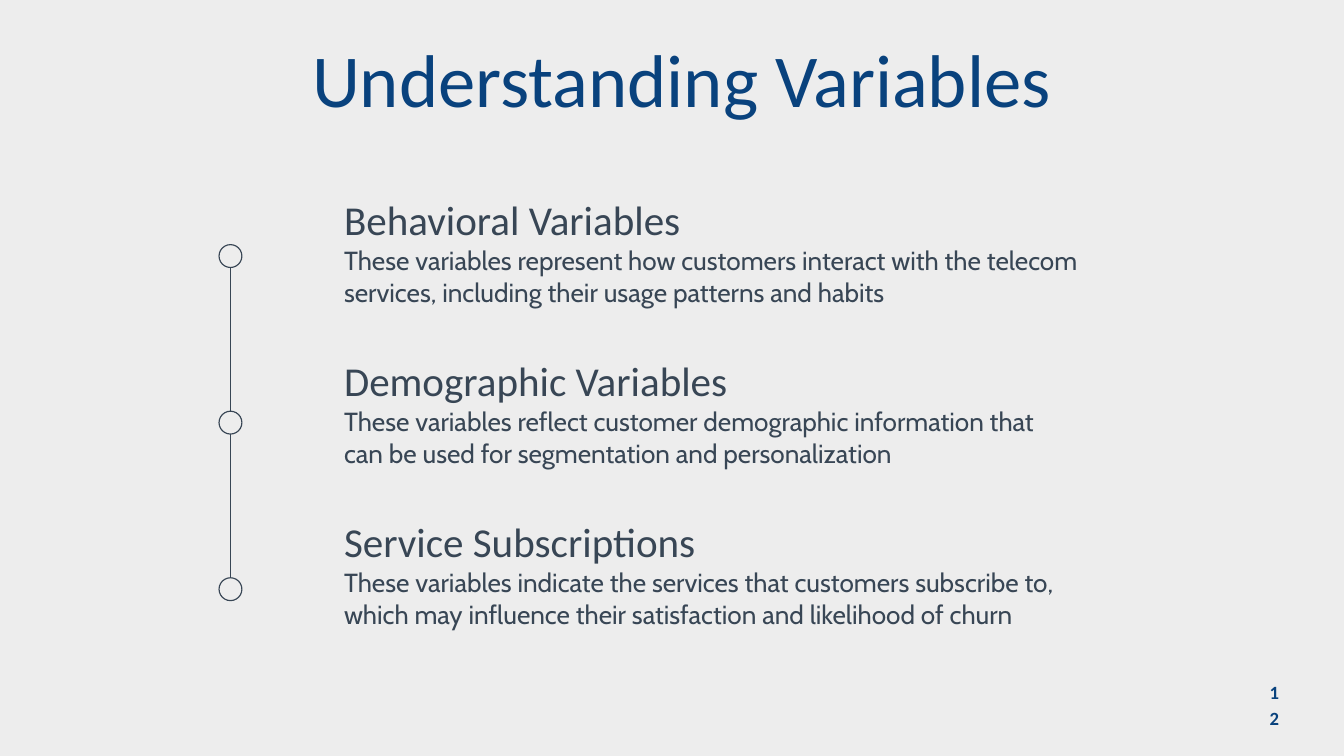
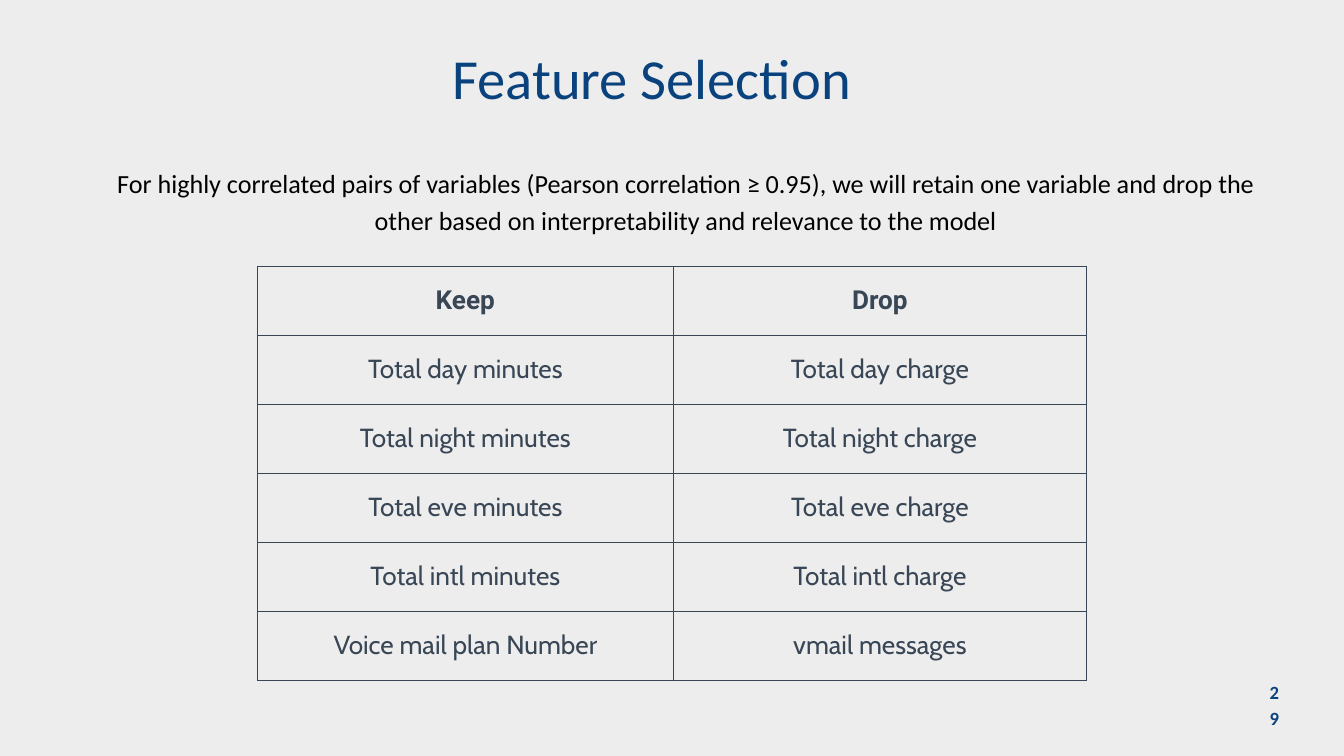
from collections import namedtuple
from itertools import pairwise

from lxml.etree import SubElement
from pptx import Presentation
from pptx.dml.color import RGBColor
from pptx.enum.shapes import MSO_CONNECTOR, MSO_SHAPE
from pptx.enum.text import MSO_ANCHOR, MSO_AUTO_SIZE, PP_ALIGN
from pptx.oxml.ns import qn
from pptx.util import Inches, Pt

PAPER = RGBColor(0xED, 0xED, 0xED)
NAVY = RGBColor(0x09, 0x42, 0x7D)
SLATE = RGBColor(0x38, 0x46, 0x55)
BLACK = RGBColor(0, 0, 0)


class Box(namedtuple("Box", "left top width height")):
    """A region in inches."""

    def area(self, left, top, width, height):
        """Region inside this one, given in percent of its size."""
        return Box(self.left + self.width * left / 100,
                   self.top + self.height * top / 100,
                   self.width * width / 100, self.height * height / 100)

    def rows(self, count):
        return [self.area(0, 100 * row / count, 100, 100 / count)
                for row in range(count)]

    def emu(self):
        return [Inches(length) for length in self]


SLIDE = Box(0, 0, 20, 11.25)


def text_style(font, size, color, spacing, align=PP_ALIGN.LEFT, bold=False):
    return {"font": {"name": font, "size": Pt(size), "bold": bold},
            "paragraph": {"line_spacing": Pt(spacing), "alignment": align},
            "color": color}


CENTER = PP_ALIGN.CENTER
TITLE = text_style("Calibri", 80, NAVY, 88, CENTER)
SMALL_TITLE = text_style("Calibri", 60.6, NAVY, 66.6, CENTER)
PAGE_NUMBER = text_style("Calibri", 20, NAVY, 28, CENTER, bold=True)
HEADING = text_style("Calibri", 44, SLATE, 52.8)
BODY = text_style("Cabin", 28, SLATE, 33.6)
INTRO = text_style("Calibri", 28, BLACK, 39.2, CENTER)
TABLE_HEAD = text_style("Roboto", 28, SLATE, 33.6, CENTER, bold=True)
TABLE_BODY = text_style("Cabin", 28, SLATE, 33.6, CENTER)

FRAME_FORMAT = {"margin_left": 0, "margin_top": 0, "margin_right": 0,
                "margin_bottom": 0, "word_wrap": True,
                "auto_size": MSO_AUTO_SIZE.SHAPE_TO_FIT_TEXT}
CELL_FORMAT = {"margin_left": Inches(0.1), "margin_top": Inches(0.1),
               "margin_right": Inches(0.1), "margin_bottom": Inches(0.1),
               "vertical_anchor": MSO_ANCHOR.MIDDLE}

# Heading, its width, body, its width (percent of the entry)
VARIABLES = [
    ("Behavioral Variables", 61.33,
     "These variables represent how customers interact with the telecom "
     "services, including their usage patterns and habits", 100),
    ("Demographic Variables", 63.93,
     "These variables reflect customer demographic information that "
     "can be used for segmentation and personalization", 88.67),
    ("Service Subscriptions", 76.09,
     "These variables indicate the services that customers subscribe to, "
     "which may influence their satisfaction and likelihood of churn", 90.1),
]
FEATURES = [
    ("Keep", "Drop"),
    ("Total day minutes", "Total day charge"),
    ("Total night minutes", "Total night charge"),
    ("Total eve minutes", "Total eve charge"),
    ("Total intl minutes", "Total intl charge"),
    ("Voice mail plan Number", "vmail messages"),
]


def apply(target, values):
    for attribute, value in values.items():
        setattr(target, attribute, value)


def write(paragraph, words, style):
    run = paragraph.add_run()
    run.text = words
    apply(paragraph, style["paragraph"])
    apply(run.font, style["font"])
    run.font.color.rgb = style["color"]


def add_text(slide, box, words, style):
    frame = slide.shapes.add_textbox(*box.emu()).text_frame
    apply(frame, FRAME_FORMAT)
    write(frame.paragraphs[0], words, style)


def add_base(deck, title, title_box, title_style, page):
    """Slide with background, title and page number."""
    slide = deck.slides.add_slide(deck.slide_layouts[6])
    slide.background.fill.solid()
    slide.background.fill.fore_color.rgb = PAPER
    add_text(slide, title_box, title, title_style)
    add_text(slide, SLIDE.area(94.4, 89.51, 0.85, 1.96), page, PAGE_NUMBER)
    return slide


def add_timeline(slide, box, count):
    """Rings at the top of equal rows, linked by lines."""
    rings = [Box(row.left, row.top, box.width, box.width)
             for row in box.rows(count)]
    for ring in rings:
        circle = slide.shapes.add_shape(MSO_SHAPE.OVAL, *ring.emu())
        circle.shadow.inherit = False
        circle.fill.background()
        circle.line.color.rgb = SLATE
        circle.line.width = Pt(1.25)
    for upper, lower in pairwise(rings):
        middle = Inches(upper.left + upper.width / 2)
        link = slide.shapes.add_connector(
            MSO_CONNECTOR.STRAIGHT, middle, Inches(upper.top + upper.height),
            middle, Inches(lower.top))
        link.line.color.rgb = SLATE
        link.line.width = Pt(0.75)
        SubElement(link._element.spPr, qn("a:effectLst"))


def add_entries(slide, box, entries):
    for row, entry in zip(box.rows(len(entries)), entries):
        heading, heading_width, body, body_width = entry
        add_text(slide, row.area(0, 0, heading_width, 31.7), heading, HEADING)
        add_text(slide, row.area(0, 31, body_width, 38.4), body, BODY)


def add_borders(cell):
    properties = cell._tc.get_or_add_tcPr()
    for side in ("lnL", "lnR", "lnT", "lnB"):
        border = SubElement(properties, qn(f"a:{side}"), w=str(Pt(0.75)))
        fill = SubElement(border, qn("a:solidFill"))
        SubElement(fill, qn("a:srgbClr"), val=str(SLATE))


def add_feature_table(slide, box, rows, shares):
    table = slide.shapes.add_table(len(rows), len(shares), *box.emu()).table
    apply(table, {"first_row": False, "horz_banding": False})
    for column, share in zip(table.columns, shares):
        column.width = Inches(box.width * share / 100)
    for r, row in enumerate(rows):
        for c, words in enumerate(row):
            cell = table.cell(r, c)
            apply(cell, CELL_FORMAT)
            add_borders(cell)
            cell.fill.background()
            write(cell.text_frame.paragraphs[0], words,
                  TABLE_BODY if r else TABLE_HEAD)


def variables_slide(deck):
    slide = add_base(deck, "Understanding Variables",
                     SLIDE.area(6.7, 5.33, 88.05, 11.73), TITLE, "12")
    add_entries(slide, SLIDE.area(25.6, 25.78, 59.6, 63.87), VARIABLES)
    add_timeline(slide, SLIDE.area(16.3, 32.36, 1.7, 66.1), len(VARIABLES))


def features_slide(deck):
    slide = add_base(deck, "Feature Selection",
                     SLIDE.area(17.5, 6.4, 62, 8.8), SMALL_TITLE, "29")
    add_text(slide, SLIDE.area(7.65, 21.51, 86.7, 9.78),
             "For highly correlated pairs of variables (Pearson correlation "
             "≥ 0.95), we will retain one variable and drop the other based "
             "on interpretability and relevance to the model", INTRO)
    add_feature_table(slide, SLIDE.area(19.15, 35.2, 61.7, 54.76),
                      FEATURES, (50.15, 49.85))


def main():
    deck = Presentation()
    deck.slide_width, deck.slide_height = SLIDE.emu()[2:]
    variables_slide(deck)
    features_slide(deck)
    deck.save("out.pptx")


if __name__ == "__main__":
    main()
